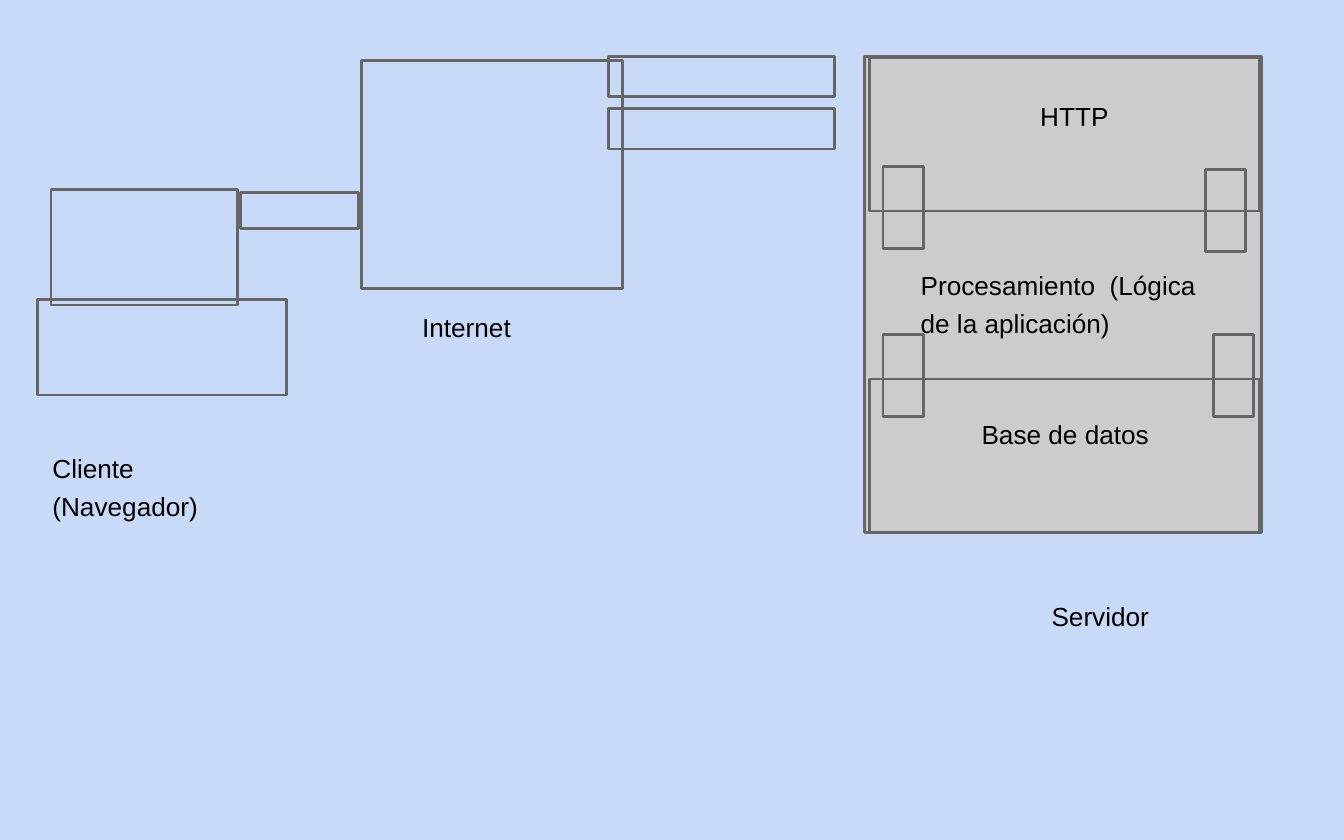
import dataclasses
from typing import Optional

import pptx
import pptx.dml.color
import pptx.enum.shapes
import pptx.enum.text
import pptx.slide
import pptx.util

Inches = pptx.util.Inches
RGBColor = pptx.dml.color.RGBColor
Align = pptx.enum.text.PP_ALIGN

BACKGROUND = RGBColor(0xC9, 0xDA, 0xF8)
PANEL_GRAY = RGBColor(0xCC, 0xCC, 0xCC)
OUTLINE_GRAY = RGBColor(0x66, 0x66, 0x66)
BLACK = RGBColor(0x00, 0x00, 0x00)
LABEL_FONT = {"name": "Arial", "size": pptx.util.Pt(14)}


@dataclasses.dataclass(frozen=True)
class Box:
    left: float
    top: float
    width: float
    height: float
    fill: Optional[RGBColor] = None
    line: Optional[RGBColor] = OUTLINE_GRAY


@dataclasses.dataclass(frozen=True)
class Label:
    text: str
    left: float
    top: float
    width: float
    height: float = 0.25
    alignment: Align = Align.LEFT
    line_spacing: float = 1.0


def panel(left: float, top: float, width: float, height: float) -> list[Box]:
    """A gray surface with a separate outline over it."""
    return [
        Box(left, top, width, height, fill=PANEL_GRAY, line=None),
        Box(left, top, width, height),
    ]


def draw_box(slide: pptx.slide.Slide, box: Box) -> None:
    shape = slide.shapes.add_shape(
        pptx.enum.shapes.MSO_SHAPE.RECTANGLE,
        Inches(box.left), Inches(box.top), Inches(box.width), Inches(box.height),
    )
    shape.shadow.inherit = False
    if box.fill is None:
        shape.fill.background()
    else:
        shape.fill.solid()
        shape.fill.fore_color.rgb = box.fill
    if box.line is None:
        shape.line.fill.background()
    else:
        shape.line.color.rgb = box.line
        shape.line.width = pptx.util.Pt(1.5)


def draw_label(slide: pptx.slide.Slide, label: Label) -> None:
    shape = slide.shapes.add_textbox(
        Inches(label.left), Inches(label.top), Inches(label.width), Inches(label.height)
    )
    frame = shape.text_frame
    frame_format = {
        "word_wrap": True,
        "margin_left": 0, "margin_right": 0, "margin_top": 0, "margin_bottom": 0,
    }
    for name, value in frame_format.items():
        setattr(frame, name, value)
    frame.text = label.text
    for paragraph in frame.paragraphs:
        paragraph.alignment = label.alignment
        paragraph.line_spacing = label.line_spacing
        for name, value in LABEL_FONT.items():
            setattr(paragraph.font, name, value)
        paragraph.font.color.rgb = BLACK


# Client, its link and the Internet
CLIENT_BOXES = [
    Box(0.38, 1.41, 1.39, 0.86),
    Box(0.28, 2.23, 1.85, 0.71),
    Box(1.79, 1.43, 0.88, 0.27),
    Box(2.69, 0.45, 1.94, 1.7),
]

# Server, with its HTTP and database layers
SERVER_BOXES = panel(6.43, 0.42, 2.96, 3.54)
for layer_top in (0.43, 2.82):
    SERVER_BOXES += panel(6.47, layer_top, 2.9, 1.14)

# Links from the Internet to the server, and between server layers
LINK_BOXES = [Box(4.53, top, 1.68, 0.3) for top in (0.81, 0.42)]
LINK_BOXES += [
    Box(left, top, 0.3, 0.61)
    for left, top in ((6.57, 1.24), (6.57, 2.49), (9.03, 2.49), (8.97, 1.26))
]

LABELS = [
    Label("HTTP", 7.74, 0.75, 0.54),
    Label("Procesamiento  (Lógica de la aplicación)", 6.85, 1.95, 2.12, 0.55,
          line_spacing=1.23),
    Label("Internet", 3.14, 2.32, 0.69),
    Label("Base de datos", 7.05, 3.11, 1.5, alignment=Align.RIGHT),
    Label("Cliente\n(Navegador)", 0.39, 3.31, 1.5, 0.55, line_spacing=1.23),
    Label("Servidor", 7.05, 4.47, 1.5, alignment=Align.RIGHT),
]


def main() -> None:
    presentation = pptx.Presentation()
    presentation.slide_width = Inches(10)
    presentation.slide_height = Inches(6.25)
    slide = presentation.slides.add_slide(presentation.slide_layouts[6])
    slide.background.fill.solid()
    slide.background.fill.fore_color.rgb = BACKGROUND

    for box in CLIENT_BOXES + SERVER_BOXES + LINK_BOXES:
        draw_box(slide, box)
    for label in LABELS:
        draw_label(slide, label)
    presentation.save("out.pptx")


if __name__ == "__main__":
    main()
